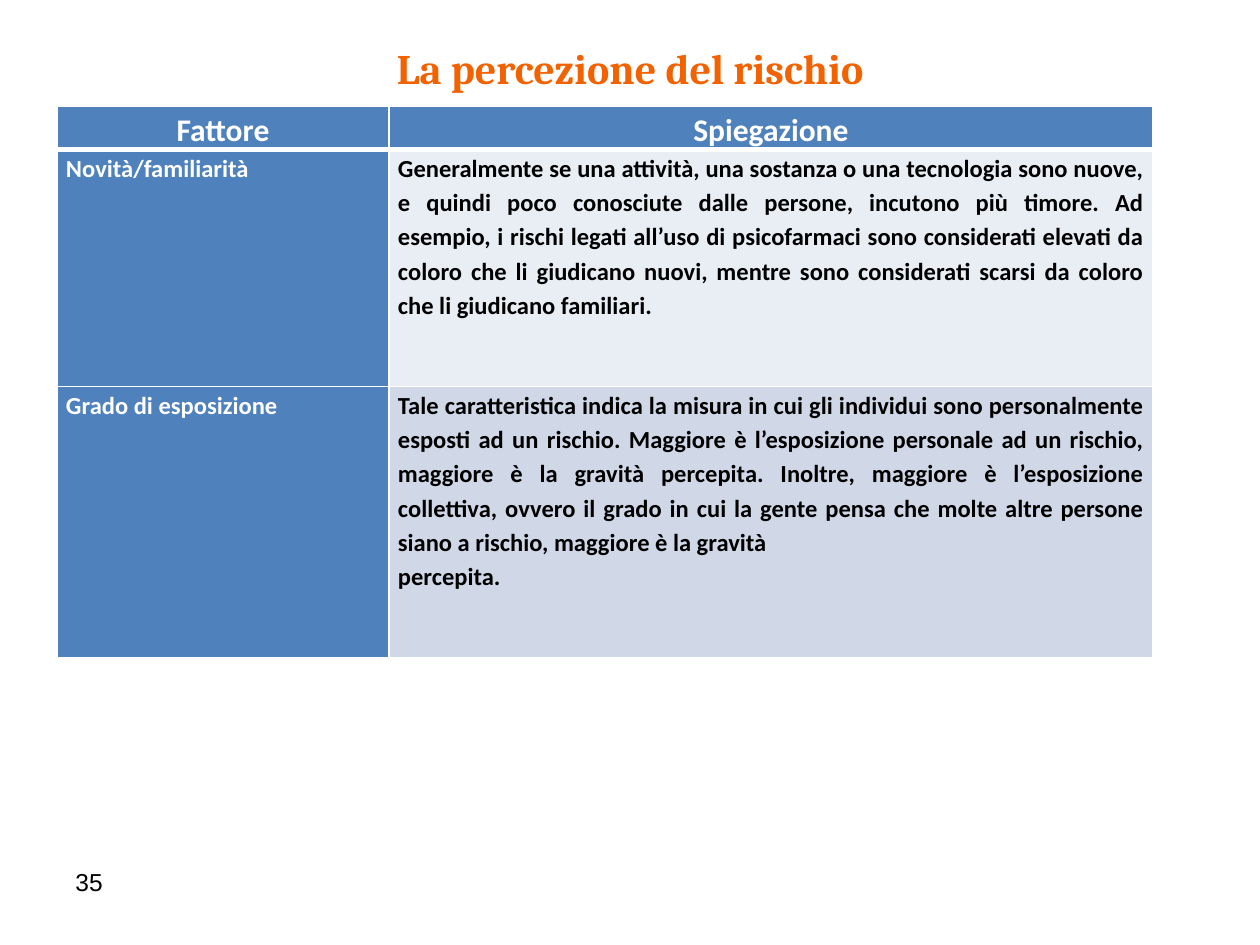
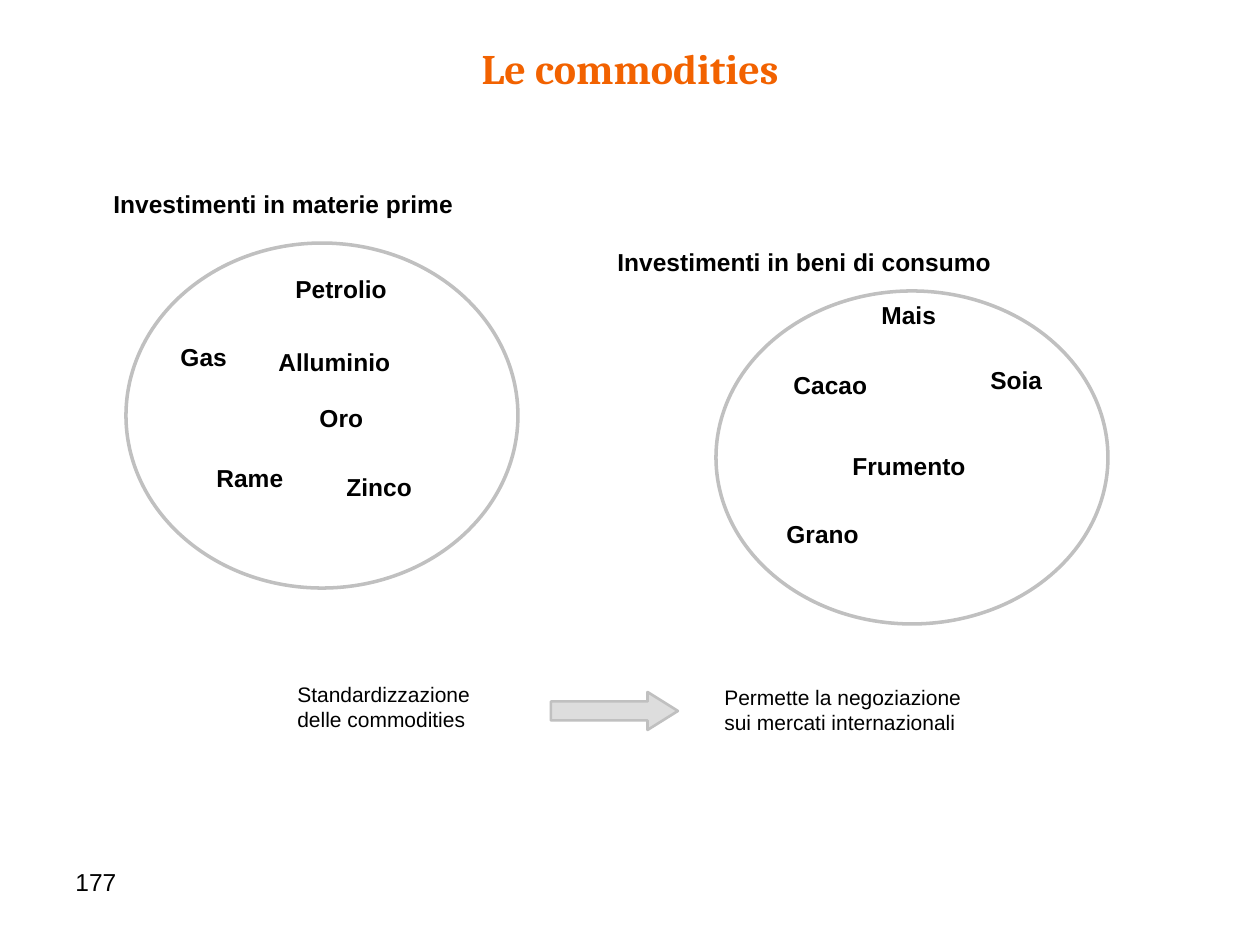
from lxml import etree
from pptx import Presentation
from pptx.dml.color import RGBColor
from pptx.enum.shapes import MSO_SHAPE
from pptx.enum.text import PP_ALIGN
from pptx.oxml.ns import qn
from pptx.util import Pt

EMU_PER_PX = 914400 / 126
COLORS = {
    "title": "F26200", "text": "000000", "white": "FFFFFF",
    "header": "4F81BD", "band_light": "E9EDF4", "band_dark": "D0D8E8",
    "outline": "C0C0C0", "arrow": "DDDDDD",
}
TITLE_BOX = (60, 36, 1140, 64)
NUMBER_BOX = (63, 861, 294, 66)
LABEL_HEIGHT = 60

RISK_HEADER = ("Fattore", "Spiegazione")
RISK_ROWS = [
    ("Novità/familiarità",
     ["Generalmente se una attività, una sostanza o una tecnologia sono nuove, "
      "e quindi poco conosciute dalle persone, incutono più timore. Ad esempio, "
      "i rischi legati all’uso di psicofarmaci sono considerati elevati da coloro "
      "che li giudicano nuovi, mentre sono considerati scarsi da coloro che li "
      "giudicano familiari."]),
    ("Grado di esposizione",
     ["Tale caratteristica indica la misura in cui gli individui sono personalmente "
      "esposti ad un rischio. Maggiore è l’esposizione personale ad un rischio, "
      "maggiore è la gravità percepita. Inoltre, maggiore è l’esposizione collettiva, "
      "ovvero il grado in cui la gente pensa che molte altre persone siano a rischio, "
      "maggiore è la gravità",
      "percepita."]),
]

# Labels: text, then left and top relative to the group's ellipse
RAW_MATERIALS = [
    ("Investimenti in materie prime", -25, -60),
    ("Petrolio", 157, 25), ("Alluminio", 140, 98), ("Zinco", 208, 223),
    ("Rame", 78, 214), ("Oro", 181, 154), ("Gas", 42, 93),
]
CONSUMER_GOODS = [
    ("Investimenti in beni di consumo", -111, -50),
    ("Mais", 153, 3), ("Cacao", 65, 73), ("Soia", 262, 68),
    ("Frumento", 124, 154), ("Grano", 58, 222),
]


def px(n):
    return round(n * EMU_PER_PX)


def rgb(name):
    return RGBColor.from_string(COLORS[name])


def write(tf, lines, size, font="Arial", color="text", bold=False,
          align=PP_ALIGN.LEFT, spacing=None):
    """Put one paragraph per line into a text frame."""
    tf.word_wrap = True
    for i, line in enumerate(lines):
        p = tf.paragraphs[0] if i == 0 else tf.add_paragraph()
        p.alignment = align
        if spacing:
            p.line_spacing = spacing
        r = p.add_run()
        r.text = line
        r.font.name = font
        r.font.size = Pt(size)
        r.font.bold = bold
        r.font.color.rgb = rgb(color)


def add_text(s, box, lines, size, **style):
    sp = s.shapes.add_textbox(*map(px, box))
    write(sp.text_frame, lines, size, **style)


def add_outlined(s, kind, box, width):
    sp = s.shapes.add_shape(kind, *map(px, box))
    sp.shadow.inherit = False
    sp.fill.background()
    sp.line.color.rgb = rgb("outline")
    sp.line.width = Pt(width)
    return sp


def add_base_slide(prs, title, number):
    """Add a blank slide with the shared title and slide number."""
    s = prs.slides.add_slide(prs.slide_layouts[6])
    add_text(s, TITLE_BOX, [title], 24, font="Cambria", color="title",
             bold=True, align=PP_ALIGN.CENTER)
    add_text(s, NUMBER_BOX, [number], 14)
    return s


def set_borders(cell, top, bottom):
    """Draw white borders; side borders are 1 pt wide."""
    tcPr = cell._tc.get_or_add_tcPr()
    for i, (side, width) in enumerate(
            (("L", 1), ("R", 1), ("T", top), ("B", bottom))):
        ln = etree.Element(qn(f"a:ln{side}"), w=str(Pt(width)))
        fill = etree.SubElement(ln, qn("a:solidFill"))
        etree.SubElement(fill, qn("a:srgbClr"), val=COLORS["white"])
        tcPr.insert(i, ln)


def fill_cell(cell, lines, size, fill, color, align, inset, top=1, bottom=1):
    cell.margin_left = cell.margin_right = px(inset)
    cell.margin_top = cell.margin_bottom = 0
    cell.fill.solid()
    cell.fill.fore_color.rgb = rgb(fill)
    write(cell.text_frame, lines, size, font="Calibri", color=color,
          bold=True, align=align, spacing=1.15)
    set_borders(cell, top, bottom)


def add_risk_table(s, left, top, col_widths, row_heights):
    frame = s.shapes.add_table(len(row_heights), len(col_widths), px(left), px(top),
                               px(sum(col_widths)), px(sum(row_heights)))
    table = frame.table
    for col, width in zip(table.columns, col_widths):
        col.width = px(width)
    for row, height in zip(table.rows, row_heights):
        row.height = px(height)
    for c, heading in enumerate(RISK_HEADER):
        fill_cell(table.cell(0, c), [heading], 18, "header", "white",
                  PP_ALIGN.CENTER, 8, bottom=3)
    bands = ("band_light", "band_dark")
    for r, ((factor, explanation), band) in enumerate(zip(RISK_ROWS, bands), 1):
        edge = 3 if r == 1 else 1
        fill_cell(table.cell(r, 0), [factor], 14, "header", "white",
                  PP_ALIGN.JUSTIFY, 9, top=edge)
        fill_cell(table.cell(r, 1), explanation, 14, band, "text",
                  PP_ALIGN.JUSTIFY, 9, top=edge)


def add_commodity_group(s, box, labels):
    """Draw an ellipse with its heading and the commodity names inside."""
    left, top = box[:2]
    for text, dx, dy in labels:
        width = 40 + 14 * len(text)
        add_text(s, (left + dx, top + dy, width, LABEL_HEIGHT), [text], 14, bold=True)
    add_outlined(s, MSO_SHAPE.OVAL, box, 2)


def add_standardization(s, left, top):
    """Draw cause, arrow and effect in a row."""
    add_text(s, (left, top, 240, 90), ["Standardizzazione", "delle commodities"], 12)
    add_text(s, (left + 427, top + 3, 330, 90),
             ["Permette la negoziazione", "sui mercati internazionali"], 12)
    arrow = add_outlined(s, MSO_SHAPE.RIGHT_ARROW, (left + 266, top + 17, 127, 38), 1.5)
    arrow.adjustments[0] = 0.5
    arrow.adjustments[1] = 0.8
    arrow.fill.solid()
    arrow.fill.fore_color.rgb = rgb("arrow")


def build_risk_slide(prs):
    s = add_base_slide(prs, "La percezione del rischio", "35")
    add_risk_table(s, 57, 106, (332, 764), (42, 237, 271))


def build_commodities_slide(prs):
    s = add_base_slide(prs, "Le commodities", "177")
    add_commodity_group(s, (126, 243, 392, 345), RAW_MATERIALS)
    add_commodity_group(s, (716, 291, 392, 333), CONSUMER_GOODS)
    add_standardization(s, 285, 675)


def main():
    prs = Presentation()
    prs.slide_width, prs.slide_height = px(1260), px(945)
    build_risk_slide(prs)
    build_commodities_slide(prs)
    prs.save("out.pptx")


if __name__ == "__main__":
    main()
